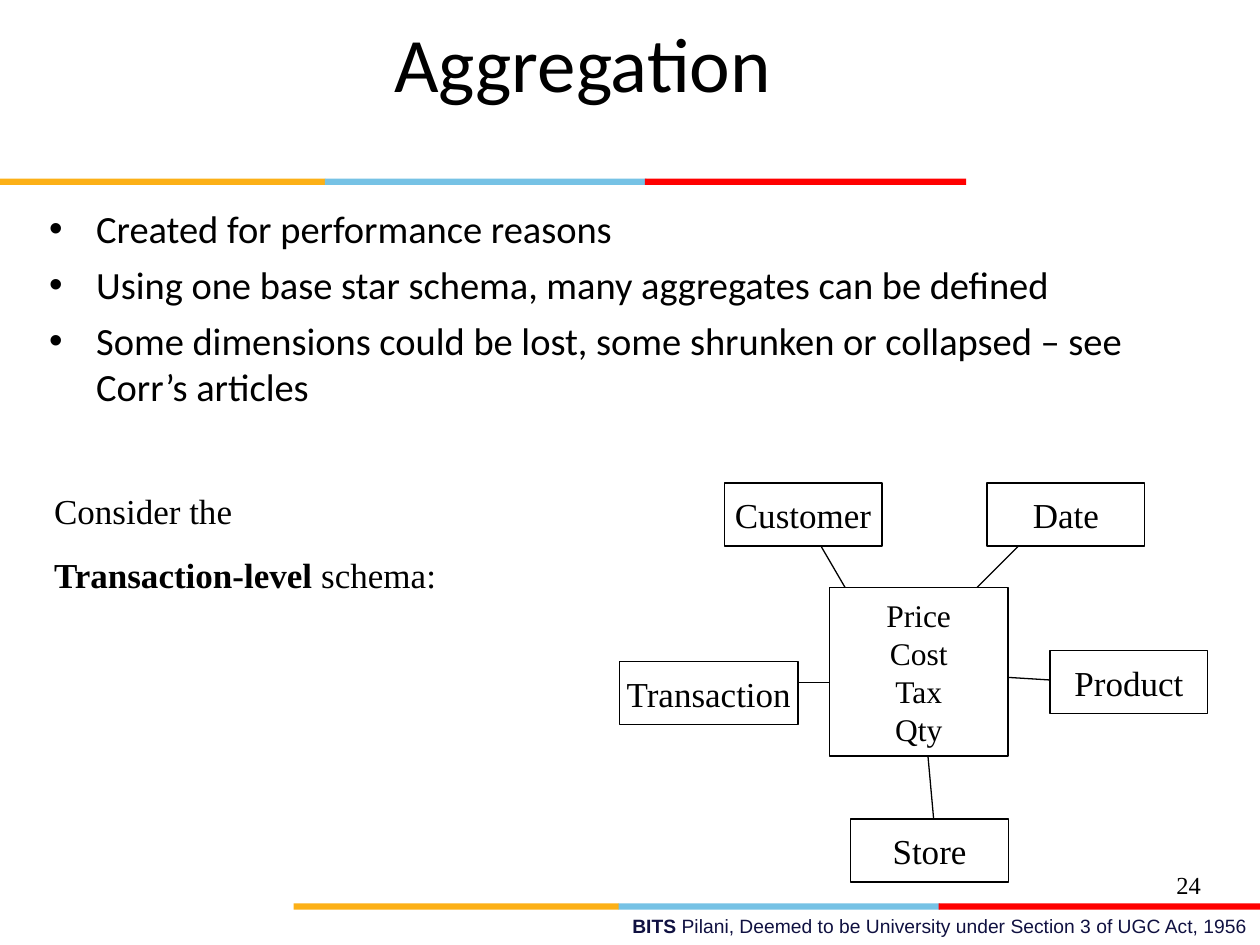
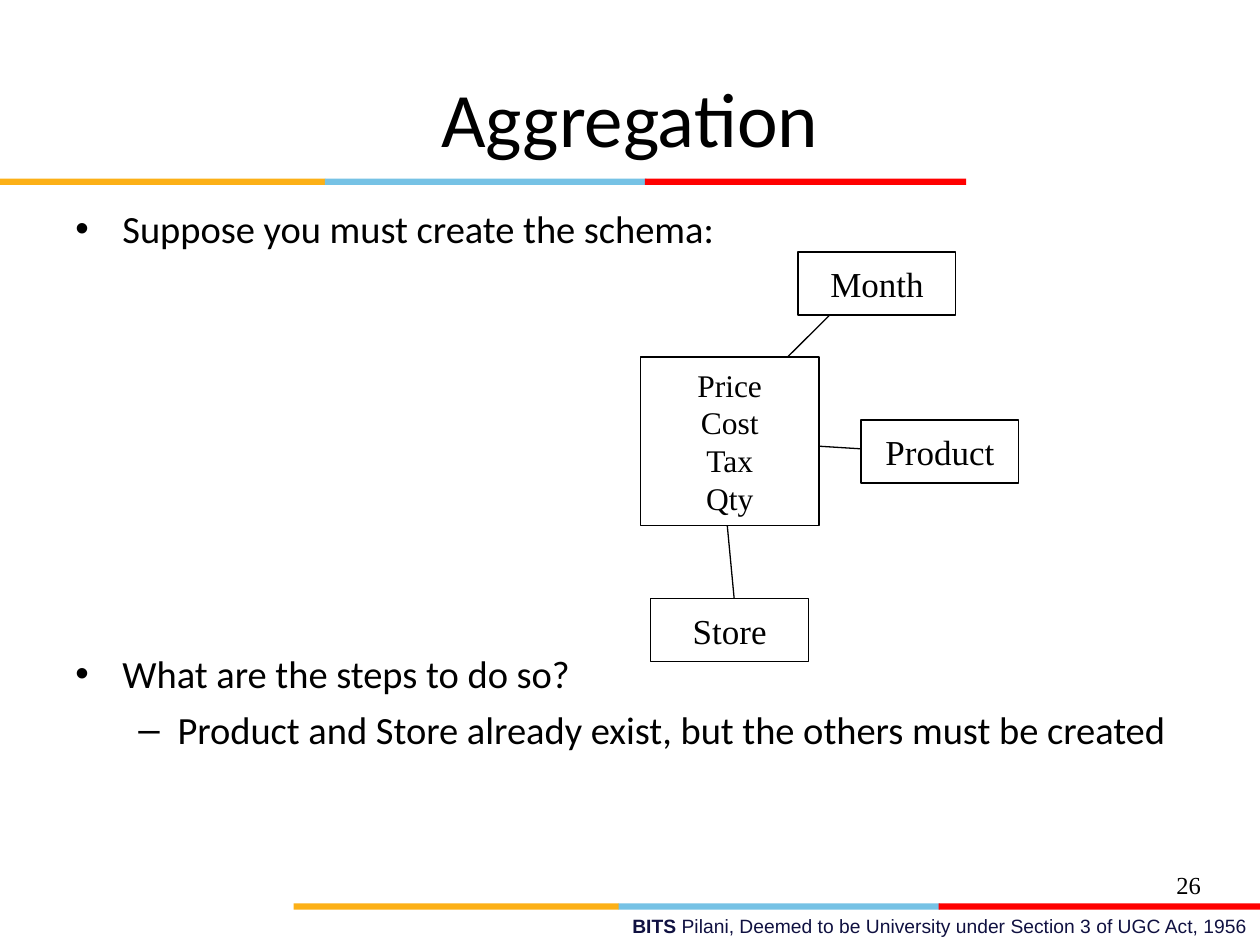
from lxml.etree import SubElement
from pptx import Presentation
from pptx.dml.color import RGBColor
from pptx.enum.shapes import MSO_CONNECTOR, MSO_SHAPE
from pptx.enum.text import MSO_ANCHOR, MSO_AUTO_SIZE, PP_ALIGN
from pptx.oxml.ns import qn
from pptx.util import Cm, Pt

BLACK, WHITE, NAVY = "000000", "FFFFFF", "101141"
BANDS = [(0, 6.56, "FCB017"), (6.55, 6.48, "76C2E5"), (13, 6.48, "FF0000")]
STRIPS = [(0, 3.6), (5.92, 18.21)]
FACTS = ["Price", "Cost", "Tax", "Qty"]
BOX_W, BOX_H, WIDE, TALL = 3.18, 1.27, 3.6, 3.39

HEAD = {"name": "Calibri", "size": Pt(44)}
BODY = {"name": "Calibri", "size": Pt(22)}
FOOT = {"name": "Arial", "size": Pt(11)}
PAGE = {"name": "Times New Roman", "size": Pt(14)}
FACT = {"name": "Times New Roman", "size": Pt(18)}
NOTE = {"name": "Times New Roman", "size": Pt(20)}
MID = {"vertical_anchor": MSO_ANCHOR.MIDDLE, "auto_size": MSO_AUTO_SIZE.NONE}

# Bullets: (mark, level, space before in points, text)
# Boxes: (text lines, left, top, width, height)
SLIDES = [
    {
        "page": "24",
        "title": (0.84, 0.64, 21.82, 1.22),
        "body": (0.74, 4.01, 23.5, 5.08),
        "items": [
            ("•", 0, 0, "Created for performance reasons"),
            ("•", 0, 5.5, "Using one base star schema, many aggregates can be defined"),
            ("•", 0, 5.5, "Some dimensions could be lost, some shrunken or collapsed"
                          " – see Corr’s articles"),
        ],
        "lines": [
            (20.96, 10.58, 19.05, 12.49),
            (16.3, 10.58, 17.78, 13.12),
            (15.24, 13.76, 17.78, 13.76),
            (18.84, 16.72, 18.63, 14.39),
            (22.01, 13.76, 18.63, 13.55),
        ],
        "boxes": [
            (["Customer"], 14.6, 9.74, BOX_W, BOX_H),
            (["Date"], 19.9, 9.74, BOX_W, BOX_H),
            (["Product"], 21.17, 13.12, BOX_W, BOX_H),
            (["Store"], 17.15, 16.51, BOX_W, BOX_H),
            (["Transaction"], 12.49, 13.34, WIDE, BOX_H),
            (FACTS, 16.72, 11.85, WIDE, TALL),
        ],
    },
    {
        "page": "26",
        "title": (1.27, 0.76, 22.86, 3.18),
        "body": (1.27, 4.01, 22.86, 12.57),
        "items": [
            ("•", 0, 0, "Suppose you must create the schema:"),
            ("•", 0, 228, "What are the steps to do so?"),
            ("–", 1, 5.5, "Product and Store already exist, but the others must be created"),
        ],
        "lines": [
            (17.15, 5.93, 15.24, 7.83),
            (18.2, 9.1, 14.82, 8.89),
            (14.82, 12.28, 14.6, 9.95),
        ],
        "boxes": [
            (["Month"], 16.09, 5.08, BOX_W, BOX_H),
            (["Product"], 17.36, 8.47, BOX_W, BOX_H),
            (["Store"], 13.12, 12.07, BOX_W, BOX_H),
            (FACTS, 12.91, 7.2, WIDE, TALL),
        ],
    },
]


def paint(fill, color):
    fill.solid()
    fill.fore_color.rgb = RGBColor.from_string(color)


def write(shape, paras, look, align=PP_ALIGN.LEFT, color=BLACK, **setup):
    """Fill a shape with paragraphs, each a list of (text, bold) runs."""
    frame = shape.text_frame
    for key, val in {"word_wrap": True, **setup}.items():
        setattr(frame, key, val)
    for i, runs in enumerate(paras):
        para = frame.add_paragraph() if i else frame.paragraphs[0]
        para.alignment = align
        for text, bold in runs:
            run = para.add_run()
            run.text = text
            for key, val in {**look, "bold": bold}.items():
                setattr(run.font, key, val)
            paint(run.font.fill, color)
    return frame.paragraphs


deck = Presentation()
deck.slide_width, deck.slide_height = Cm(25.4), Cm(19.05)

for data in SLIDES:
    slide = deck.slides.add_slide(deck.slide_layouts[5])
    shapes = slide.shapes

    # Bands, footer and page number
    for left, top in STRIPS:
        for shift, width, color in BANDS:
            band = shapes.add_shape(MSO_SHAPE.RECTANGLE, Cm(left + shift), Cm(top),
                                    Cm(width), Cm(0.13))
            band.shadow.inherit = False
            band.line.fill.background()
            paint(band.fill, color)
    foot = shapes.add_textbox(Cm(9.1), Cm(18.31), Cm(16.3), Cm(0.74))
    write(foot, [[("BITS ", True),
                  ("Pilani, Deemed to be University under Section 3 of UGC Act, 1956", False)]],
          FOOT, PP_ALIGN.RIGHT, NAVY)
    page = shapes.add_textbox(Cm(18.54), Cm(17.32), Cm(5.92), Cm(1.02))
    write(page, [[(data["page"], False)]], PAGE, PP_ALIGN.RIGHT, **MID)

    # Title and bullets
    title = shapes.title
    for key, val in zip(("left", "top", "width", "height"), data["title"]):
        setattr(title, key, Cm(val))
    write(title, [[("Aggregation", False)]], HEAD, PP_ALIGN.CENTER, **MID)

    body = shapes.add_textbox(*map(Cm, data["body"]))
    paras = write(body, [[(item[-1], False)] for item in data["items"]], BODY)
    for para, (mark, level, space, text) in zip(paras, data["items"]):
        para.level = level
        para.space_before = Pt(space)
        props = para._p.get_or_add_pPr()
        margin, hang = [(0.95, 0.95), (2.06, 0.79)][level]
        props.set("marL", str(Cm(margin)))
        props.set("indent", str(-Cm(hang)))
        SubElement(props, qn("a:buFont")).set("typeface", "Arial")
        SubElement(props, qn("a:buChar")).set("char", mark)

    # Star schema: links lie under the boxes
    for ends in data["lines"]:
        link = shapes.add_connector(MSO_CONNECTOR.STRAIGHT, *map(Cm, ends))
        link.line.width = Pt(0.75)
        paint(link.line.fill, BLACK)
        SubElement(link._element.spPr, qn("a:effectLst"))
    for names, *place in data["boxes"]:
        box = shapes.add_shape(MSO_SHAPE.RECTANGLE, *map(Cm, place))
        box.shadow.inherit = False
        box.line.width = Pt(0.75)
        paint(box.line.fill, BLACK)
        paint(box.fill, WHITE)
        write(box, [[(name, False)] for name in names], FACT if names is FACTS else NOTE,
              PP_ALIGN.CENTER, word_wrap=False, **MID)

note = deck.slides[0].shapes.add_textbox(Cm(0.84), Cm(9.74), Cm(9.53), Cm(2.39))
paras = write(note, [[("Consider the", False)],
                     [("Transaction-level", True), (" schema:", False)]], NOTE)
paras[1].space_before = Pt(12.5)

deck.save("out.pptx")
